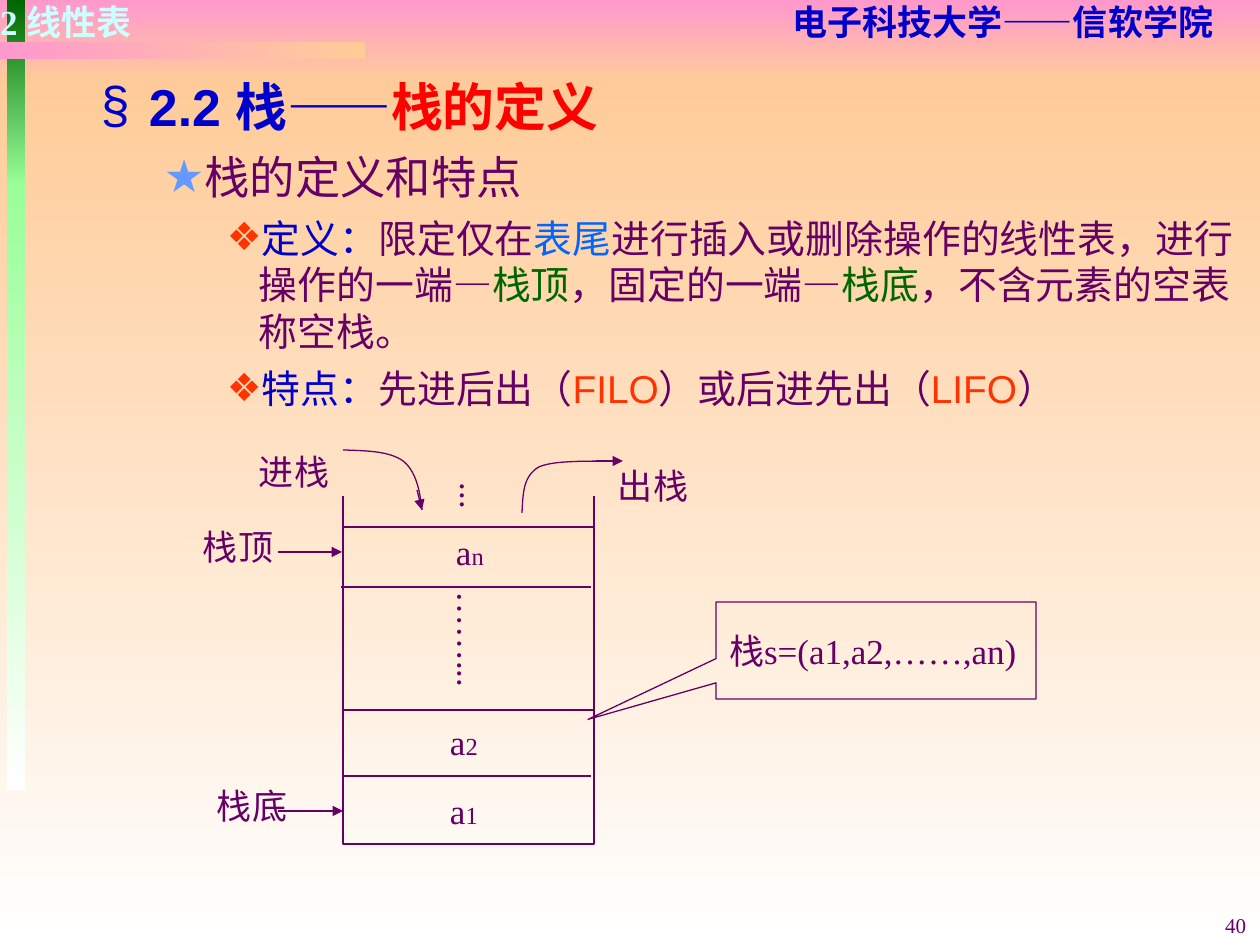
from lxml.etree import SubElement
from pptx import Presentation
from pptx.dml.color import RGBColor
from pptx.enum.shapes import MSO_CONNECTOR, MSO_SHAPE
from pptx.enum.text import MSO_ANCHOR, MSO_AUTO_SIZE, PP_ALIGN
from pptx.oxml.ns import qn
from pptx.util import Pt

SCALE = 914400 / 126
SERIF, SANS = "Times New Roman", "Arial"
COLORS = {
    "plum": "660066", "navy": "0000CC", "red": "FF0000", "blue": "0066FF",
    "green": "006600", "orange": "FF3300", "star": "6699FF", "ice": "CCFFFF",
    "pink": "FF99CC", "peach": "FFCC99", "white": "FFFFFF", "lime": "99FF99",
}


def px(*values):
    """Turn pixel lengths into EMU."""
    return [round(v * SCALE) for v in values]


def rgb(name):
    """Look up a palette colour."""
    return RGBColor.from_string(COLORS[name])


def style_run(r, size, color, font=SERIF, bold=False):
    """Set the font of a run."""
    r.font.size, r.font.name, r.font.bold = Pt(size), font, bold
    r.font.color.rgb = rgb(color)


def add_band(s, box, start, end, angle=270):
    """Add a borderless gradient rectangle."""
    sp = s.shapes.add_shape(MSO_SHAPE.RECTANGLE, *px(*box))
    sp.shadow.inherit = False
    sp.line.fill.background()
    sp.fill.gradient()
    sp.fill.gradient_angle = angle
    for stop, color in zip(sp.fill.gradient_stops, (start, end)):
        stop.color.rgb = rgb(color)


def outline(sp):
    """Leave a shape hollow with a thin plum line."""
    sp.shadow.inherit = False
    sp.fill.background()
    sp.line.color.rgb = rgb("plum")
    sp.line.width = Pt(0.75)


def set_margins(tf, left, top, right, bottom):
    """Set the text margins in pixels."""
    tf.margin_left, tf.margin_top, tf.margin_right, tf.margin_bottom = px(left, top, right, bottom)


def add_label(s, box, text, sub="", size=20, color="plum", bold=False, align=PP_ALIGN.LEFT,
              margins=(13, 6, 0, 6), anchor=MSO_ANCHOR.MIDDLE, vertical=False):
    """Add a one-line text box, with an optional smaller index."""
    tf = s.shapes.add_textbox(*px(*box)).text_frame
    tf.word_wrap = not vertical
    tf.vertical_anchor = anchor
    set_margins(tf, *margins)
    if vertical:
        tf.auto_size = MSO_AUTO_SIZE.SHAPE_TO_FIT_TEXT
        tf._txBody.bodyPr.set("vert", "eaVert")
    p = tf.paragraphs[0]
    p.text, p.alignment = text, align
    style_run(p.runs[0], size, color, bold=bold)
    if sub:
        r = p.add_run()
        r.text = sub
        style_run(r, 14, color)


def add_line(s, x1, y1, x2, y2, arrow=False):
    """Add a straight line, with an optional arrowhead."""
    line = s.shapes.add_connector(MSO_CONNECTOR.STRAIGHT, *px(x1, y1, x2, y2))
    line.line.color.rgb = rgb("plum")
    line.line.width = Pt(0.75)
    if arrow:
        SubElement(line.line._get_or_add_ln(), qn("a:tailEnd"), type="triangle")
    SubElement(line._element.spPr, qn("a:effectLst"))


def add_curve(s, start, *beziers, steps=16):
    """Add an open outline through cubic Bezier segments."""
    points, p0 = [], start
    for p1, p2, p3 in beziers:
        for i in range(1, steps + 1):
            t, u = i / steps, 1 - i / steps
            points.append(px(*(u**3 * a + 3 * u * u * t * b + 3 * u * t * t * c + t**3 * d
                               for a, b, c, d in zip(p0, p1, p2, p3))))
        p0 = p3
    builder = s.shapes.build_freeform(*px(*start), scale=1.0)
    builder.add_line_segments(points, close=False)
    outline(builder.convert_to_shape())


def add_bullet(p, char, color, left, hang, before, size, runs, bold=False):
    """Fill a bulleted paragraph with coloured runs."""
    pPr = p._p.get_or_add_pPr()
    pPr.set("marL", str(px(left)[0]))
    pPr.set("indent", str(-px(hang)[0]))
    clr = SubElement(pPr, qn("a:buClr"))
    SubElement(clr, qn("a:srgbClr"), val=COLORS[color])
    SubElement(pPr, qn("a:buFont"), typeface=SANS)
    SubElement(pPr, qn("a:buChar"), char=char)
    if before:
        p.space_before = Pt(before)
    for text, run_color in runs:
        r = p.add_run()
        r.text = text
        style_run(r, size, run_color, SANS, bold)


def add_body(s):
    """Add the heading and the definition of a stack."""
    tf = s.shapes.add_textbox(*px(88, 69, 1172, 364)).text_frame
    tf.word_wrap = True
    set_margins(tf, 13, 6, 13, 6)
    detail = ("❖", "orange", 158, 32, 6, 22.2)
    items = [
        ("§", "navy", 48, 48, 0, 29.6, [("2.2 栈——", "navy"), ("栈的定义", "red")], True),
        ("★", "star", 102, 39, 7, 25.9, [("栈的定义和特点", "plum")]),
        (*detail, [("定义：", "navy"), ("限定仅在", "plum"), ("表尾", "blue"),
                   ("进行插入或删除操作的线性表，进行操作的一端—", "plum"), ("栈顶", "green"),
                   ("，固定的一端—", "plum"), ("栈底", "green"),
                   ("，不含元素的空表称空栈。", "plum")]),
        (*detail, [("特点：", "navy"), ("先进后出（", "plum"), ("FILO", "orange"),
                   ("）或后进先出（", "plum"), ("LIFO", "orange"), ("）", "plum")]),
    ]
    for i, item in enumerate(items):
        add_bullet(tf.add_paragraph() if i else tf.paragraphs[0], *item)


def add_stack(s):
    """Add the stack drawing with its labels and arrows."""
    outline(s.shapes.add_shape(MSO_SHAPE.RECTANGLE, *px(343, 527, 251, 317)))
    for line in [(341, 587, 591, 587), (343, 776, 591, 776), (343, 710, 594, 710),
                 (343, 496, 343, 536), (594, 527, 594, 496)]:
        add_line(s, *line)
    for line in [(278, 811, 343, 811), (278, 552, 342, 552),
                 (417, 490, 422, 510), (596, 461, 623, 461)]:
        add_line(s, *line, arrow=True)
    add_curve(s, (343, 450), ((367, 451), (389, 451), (403, 461)),
              ((416, 471), (420, 491), (422, 510)))
    add_curve(s, (522, 513), ((523, 494), (523, 476), (539, 467)),
              ((556, 459), (606, 462), (619, 461)))
    for x, y, sub in [(443, 523, "n"), (437, 782, "1"), (437, 713, "2")]:
        add_label(s, (x, y, 53, 56), "a", sub)
    for x, y, text in [(204, 777, "栈底"), (190, 519, "栈顶"), (605, 457, "出栈"), (246, 443, "进栈")]:
        add_label(s, (x, y, 95, 56), text)
    for x, y, height, text in [(438, 578, 110, "……..."), (441, 470, 39, "...")]:
        add_label(s, (x, y, 67, height), text, margins=(6, 13, 6, 13), vertical=True)


def add_callout(s):
    """Add the callout that names the stack."""
    sp = s.shapes.add_shape(MSO_SHAPE.RECTANGULAR_CALLOUT, *px(716, 602, 320, 97))
    outline(sp)
    sp.adjustments[0], sp.adjustments[1] = -0.9, 0.71
    tf = sp.text_frame
    tf.word_wrap = True
    tf.vertical_anchor = MSO_ANCHOR.MIDDLE
    set_margins(tf, 13, 6, 13, 6)
    p = tf.paragraphs[0]
    p.text, p.alignment = "栈s=(a1,a2,……,an)", PP_ALIGN.LEFT
    style_run(p.runs[0], 20, "plum")


def main():
    """Build the slide and save it."""
    prs = Presentation()
    prs.slide_width, prs.slide_height = px(1260, 945)
    s = prs.slides.add_slide(prs.slide_layouts[6])
    add_band(s, (0, 0, 1260, 84), "pink", "peach")
    add_band(s, (0, 84, 1260, 861), "peach", "white")
    add_band(s, (7, 0, 18, 186), "green", "lime")
    add_band(s, (7, 184, 18, 606), "lime", "white")
    add_band(s, (0, 42, 365, 17), "pink", "peach", angle=0)
    header = dict(bold=True, margins=(0, 0, 0, 0), anchor=MSO_ANCHOR.TOP)
    add_label(s, (746, 0, 514, 42), "电子科技大学——信软学院", color="navy",
              align=PP_ALIGN.CENTER, **header)
    add_label(s, (0, 0, 220, 42), "2 线性表", color="ice", **header)
    add_body(s)
    add_stack(s)
    add_callout(s)
    add_label(s, (965, 900, 294, 50), "40", size=12, align=PP_ALIGN.RIGHT,
              margins=(13, 6, 13, 6))
    prs.save("out.pptx")


if __name__ == "__main__":
    main()
